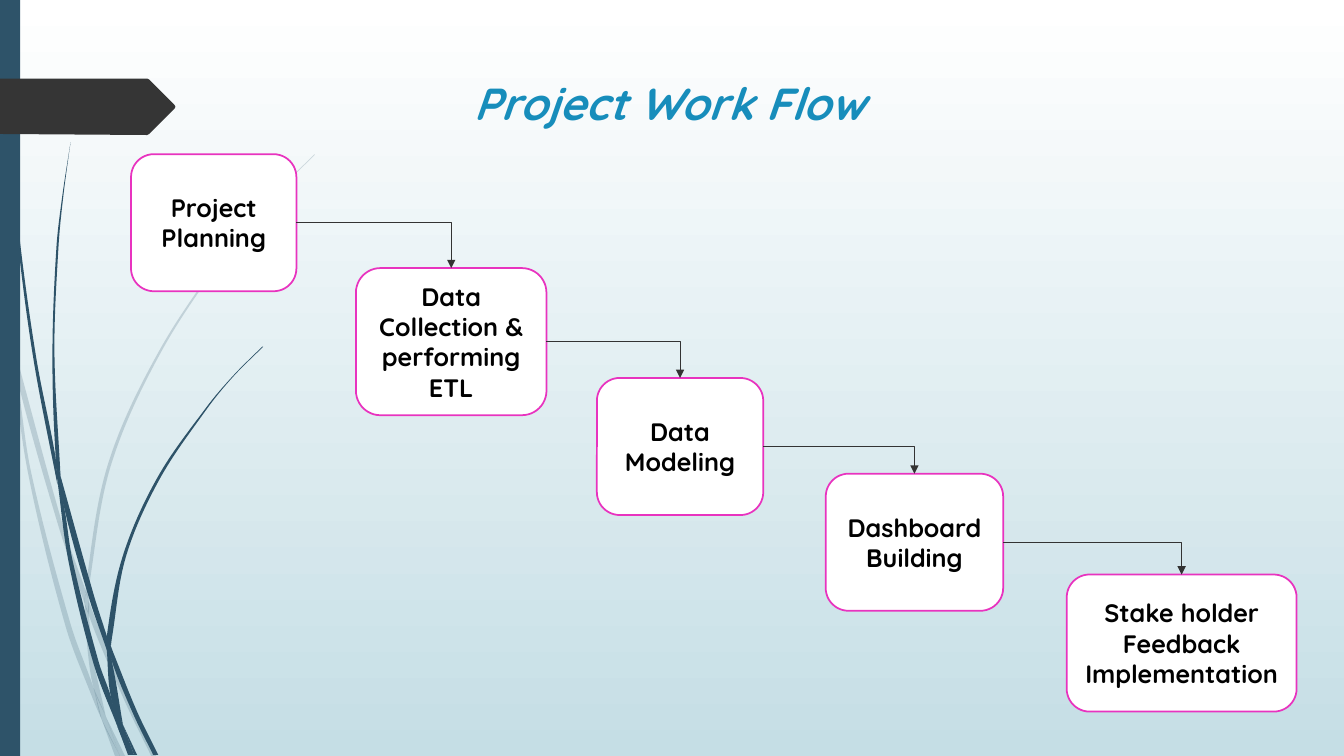
"""Build the project work flow slide."""
from math import dist
from lxml import etree
from pptx import Presentation
from pptx.dml.color import RGBColor
from pptx.enum.shapes import MSO_CONNECTOR, MSO_SHAPE
from pptx.enum.text import MSO_ANCHOR, PP_ALIGN
from pptx.oxml.ns import qn
from pptx.util import Inches, Pt

RECT, ROUND = MSO_SHAPE.RECTANGLE, MSO_SHAPE.ROUNDED_RECTANGLE
ELBOW = MSO_CONNECTOR.ELBOW
LEFT, CENTER = PP_ALIGN.LEFT, PP_ALIGN.CENTER
TOP, MIDDLE = MSO_ANCHOR.TOP, MSO_ANCHOR.MIDDLE
TOP_SITE, RIGHT_SITE = 0, 3

WHITE = RGBColor(0xFF, 0xFF, 0xFF)
BLACK = RGBColor(0, 0, 0)
MIST = RGBColor(0xC5, 0xDE, 0xE5)
NAVY = RGBColor(0x2E, 0x53, 0x69)
COAL = RGBColor(0x35, 0x35, 0x35)
GREY = RGBColor(0x33, 0x33, 0x33)
BLUE = RGBColor(0x17, 0x8D, 0xBB)
PINK = RGBColor(0xE8, 0x33, 0xBF)

TITLE = "Project Work Flow"
TITLE_FONT = {"name": "Quicksand", "size": Pt(32), "bold": True, "italic": True}
STEP_FONT = {"name": "Quicksand", "size": Pt(18), "bold": True}
STEPS = [
    ("Project Planning", 1.3, 1.53, 1.64, 1.36),
    ("Data Collection & performing\nETL", 3.53, 2.66, 1.89, 1.46),
    ("Data Modeling", 5.92, 3.75, 1.65, 1.36),
    ("Dashboard Building", 8.19, 4.7, 1.76, 1.36),
    ("Stake holder\nFeedback Implementation", 10.58, 5.7, 2.28, 1.36),
]
PALE = [
    ([(0, 2.82), (0.09, 3.22), (0.11, 3.5)], [(0, 2.99), (0.1, 3.44), (0.11, 3.5)]),
    ([(0.14, 3.45), (0.17, 3.76), (0.58, 5.22), (0.84, 5.99)],
     [(0.14, 3.45), (0.62, 5.2), (0.85, 5.86)]),
    ([(0.88, 5.96), (0.88, 6.1), (1.23, 6.94), (1.5, 7.5)],
     [(0.88, 5.96), (0.92, 6.07), (1.27, 6.92), (1.55, 7.5)]),
    ([(1.05, 7.11), (1.19, 7.5)], [(1.05, 7.11), (1.24, 7.5)]),
    ([(0.11, 3.5), (0.28, 4.7), (0.65, 6.21), (0.92, 6.93), (1.01, 7.14)],
     [(0.11, 3.5), (0.17, 3.76), (0.31, 4.69), (0.7, 6.19), (0.93, 6.83), (1.01, 7.14)]),
    ([(0.84, 5.99), (0.87, 6.46), (0.93, 6.83), (1.05, 7.11)],
     [(0.84, 5.99), (0.88, 6.1), (0.91, 6.46), (1.05, 7.11)]),
    ([(3.12, 1.53), (2.68, 1.97), (2.28, 2.44), (1.58, 3.48), (1.07, 4.61), (0.85, 5.84),
      (0.88, 5.96)],
     [(3.12, 1.54), (2.68, 1.98), (2.29, 2.45), (1.6, 3.49), (1.1, 4.62), (0.88, 5.84),
      (0.88, 5.96)]),
    ([(1.01, 7.14), (1.14, 7.5)], [(1.01, 7.14), (1.19, 7.5)]),
    ([(0.85, 5.86), (0.84, 5.99), (0.88, 6.1)], [(0.85, 5.86), (0.88, 5.96), (0.88, 6.1)]),
    ([(0.93, 6.83), (1.01, 7.14), (1.19, 7.5)], [(0.93, 6.83), (1.05, 7.11), (1.19, 7.5)]),
]
DARK = [
    ([(0.03, 0), (0.07, 1.1), (0.17, 2.33), (0.33, 3.55), (0.57, 4.81)],
     [(0.04, 0), (0.08, 1.09), (0.19, 2.32), (0.36, 3.55), (0.55, 4.53), (0.57, 4.81)]),
    ([(0.6, 4.72), (0.64, 5.05), (0.88, 5.92), (1.06, 6.45)],
     [(0.6, 4.72), (0.93, 5.9), (1.06, 6.31)]),
    ([(1.1, 6.41), (1.11, 6.56), (1.32, 7.08), (1.52, 7.49)],
     [(1.1, 6.41), (1.13, 6.49), (1.36, 7.06), (1.57, 7.49)]),
    ([(0.57, 4.77), (0.68, 5.57), (0.93, 6.59), (1.17, 7.22)],
     [(0.57, 4.77), (0.64, 5.05), (0.72, 5.56), (0.98, 6.57), (1.1, 6.91), (1.17, 7.22)]),
    ([(0.7, 1.41), (0.62, 1.93), (0.56, 2.45), (0.52, 3.49), (0.55, 4.49), (0.6, 4.72)],
     [(0.7, 1.41), (0.63, 1.93), (0.58, 2.45), (0.54, 3.49), (0.6, 4.72)]),
    ([(1.22, 7.19), (1.33, 7.49)], [(1.22, 7.19), (1.36, 7.49)]),
    ([(0.55, 4.49), (0.57, 4.77), (0.64, 5.05)], [(0.55, 4.49), (0.6, 4.72), (0.64, 5.05)]),
    ([(2.6, 3.44), (2.31, 3.73), (2.04, 4.05), (1.56, 4.74), (1.22, 5.51), (1.06, 6.31),
      (1.1, 6.41)],
     [(2.61, 3.44), (2.31, 3.74), (2.05, 4.06), (1.58, 4.76), (1.25, 5.52), (1.11, 6.33),
      (1.1, 6.41)]),
    ([(1.17, 7.22), (1.27, 7.49)], [(1.17, 7.22), (1.31, 7.49)]),
    ([(1.06, 6.45), (1.1, 6.91), (1.22, 7.19)], [(1.06, 6.45), (1.11, 6.56), (1.22, 7.19)]),
    ([(1.06, 6.31), (1.06, 6.45), (1.11, 6.56)], [(1.06, 6.31), (1.1, 6.41), (1.11, 6.56)]),
    ([(1.1, 6.91), (1.17, 7.22), (1.3, 7.49)], [(1.1, 6.91), (1.22, 7.19), (1.33, 7.49)]),
]
TAG = [(0, 0.78), (1.46, 0.78), (1.48, 0.79), (1.73, 1.04), (1.74, 1.06),
       (1.73, 1.08), (1.48, 1.33), (1.46, 1.34), (0, 1.33)]


def smooth(knots):
    """Return two handles and an end for each span of a smooth curve."""
    ends = [knots[0], *knots, knots[-1]]
    points = []
    for a, b, c, d in zip(ends, ends[1:], ends[2:], ends[3:]):
        reach = dist(b, c) / 3
        out, back = reach / dist(a, c), reach / dist(b, d)
        points += [tuple(q + (r - p) * out for p, q, r in zip(a, b, c)),
                   tuple(r - (s - q) * back for q, r, s in zip(b, c, d)), c]
    return points


def paint(shape, fill, line=None):
    """Set fill and line and drop the shadow."""
    shape.shadow.inherit = False
    shape.fill.solid()
    shape.fill.fore_color.rgb = fill
    if line is None:
        shape.line.fill.background()
    else:
        shape.line.color.rgb = line
        shape.line.width = Pt(1.25)


def trace(shapes, points, fill):
    """Draw a closed outline."""
    spots = [(Inches(x), Inches(y)) for x, y in points]
    pen = shapes.build_freeform(*spots[0], scale=1.0)
    pen.add_line_segments(spots[1:], close=True)
    shape = pen.convert_to_shape()
    paint(shape, fill)
    return shape


def blade(shapes, left, right, alpha):
    """Draw a curved blade of grass between two edges."""
    tip, base = left[-1], right[-1]
    points = [left[0], *smooth(left), tip, base, base, *smooth(right[::-1])]
    props = trace(shapes, points, NAVY)._element.spPr
    etree.SubElement(props.find(qn("a:solidFill"))[0], qn("a:alpha"), val=str(alpha * 1000))
    lines = list(props.iter(qn("a:lnTo")))
    for first, *rest in zip(lines[::3], lines[1::3], lines[2::3]):
        first.tag = qn("a:cubicBezTo")
        for line in rest:
            first.append(line[0])
            line.getparent().remove(line)


def write(shape, text, font, color, align, anchor):
    """Put formatted text in a shape."""
    frame = shape.text_frame
    frame.word_wrap = True
    frame.vertical_anchor = anchor
    frame.text = text
    for para in frame.paragraphs:
        para.alignment = align
        for run in para.runs:
            for key, value in font.items():
                setattr(run.font, key, value)
            run.font.color.rgb = color


def link(shapes, start, end):
    """Join two steps with a bent arrow."""
    arrow = shapes.add_connector(ELBOW, 0, 0, 0, 0)
    arrow.begin_connect(start, RIGHT_SITE)
    arrow.end_connect(end, TOP_SITE)
    arrow.line.color.rgb = GREY
    arrow.line.width = Pt(0.75)
    props = arrow._element.spPr
    props.find(qn("a:prstGeom")).set("prst", "bentConnector2")
    etree.SubElement(props.find(qn("a:ln")), qn("a:tailEnd"), type="triangle")
    etree.SubElement(props, qn("a:effectLst"))


deck = Presentation()
deck.slide_width, deck.slide_height = Inches(13.33), Inches(7.5)
slide = deck.slides.add_slide(deck.slide_layouts[6])
shapes = slide.shapes
back = slide.background.fill
back.gradient()
back.gradient_angle = 270
for stop, color, place in zip(back.gradient_stops, (WHITE, MIST), (0, 1)):
    stop.color.rgb, stop.position = color, place
for group, alpha in ((PALE, 20), (DARK, 100)):
    for left, right in group:
        blade(shapes, left, right, alpha)
paint(shapes.add_shape(RECT, 0, 0, Inches(0.2), Inches(7.5)), NAVY)
trace(shapes, TAG, COAL)
title = shapes.add_textbox(*map(Inches, (4.6, 0.7, 4.12, 0.84)))
write(title, TITLE, TITLE_FONT, BLUE, LEFT, TOP)
boxes = []
for text, *place in STEPS:
    box = shapes.add_shape(ROUND, *map(Inches, place))
    paint(box, WHITE, PINK)
    write(box, text, STEP_FONT, BLACK, CENTER, MIDDLE)
    boxes.append(box)
for start, end in zip(boxes, boxes[1:]):
    link(shapes, start, end)
deck.save("out.pptx")
